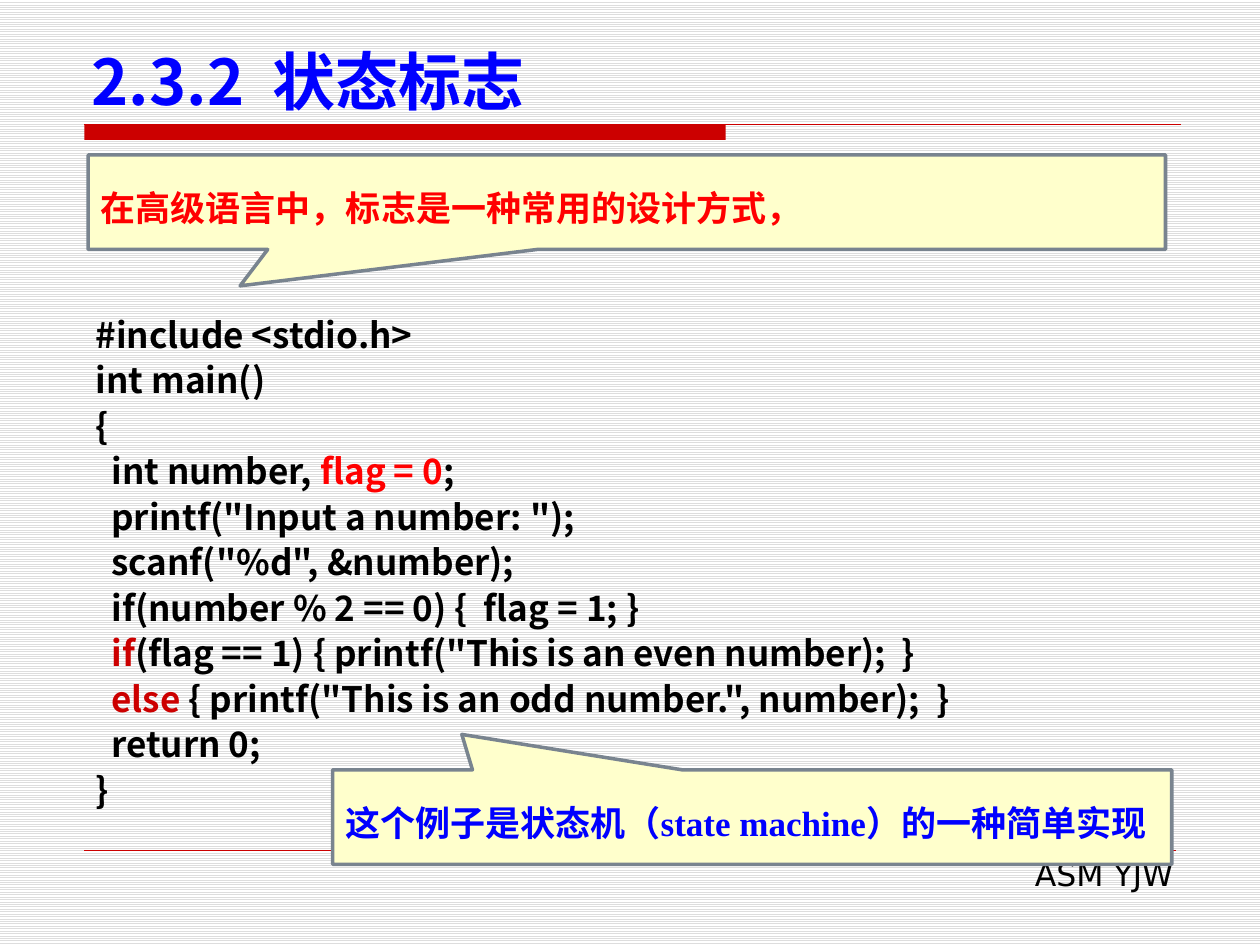
"""Build the slide on status flags with a C example and two callouts."""
from lxml import etree
from pptx import Presentation
from pptx.dml.color import RGBColor
from pptx.enum.dml import MSO_PATTERN
from pptx.enum.shapes import MSO_CONNECTOR, MSO_SHAPE
from pptx.enum.text import MSO_ANCHOR, PP_ALIGN
from pptx.oxml.ns import qn
from pptx.util import Inches, Pt

LEFT, RIGHT = PP_ALIGN.LEFT, PP_ALIGN.RIGHT
TOP, MIDDLE, BOTTOM = MSO_ANCHOR.TOP, MSO_ANCHOR.MIDDLE, MSO_ANCHOR.BOTTOM
SANS, CJK, SERIF = "DejaVu Sans", "Noto Sans CJK SC", "Times New Roman"
BLACK, RED, BLUE, ACCENT = "000000", "FF0000", "0000FF", "CC0000"
CALLOUT_FILL, CALLOUT_LINE = "FFFFCC", "79848F"
MARGIN, BAR_TOP = 0.67, 0.99

TITLE = [["2.3.2  状态标志"]]
FOOTER = [["ASM YJW"]]
CODE = [
    ["#include <stdio.h>"],
    ["int main()"],
    ["{"],
    ["  int number, ", ("flag = 0", RED, CJK), ";"],
    ['  printf("Input a number: ");'],
    ['  scanf("%d", &number);'],
    ["  if(number % 2 == 0) {  flag = 1; }"],
    ["  ", ("if", ACCENT, CJK), '(flag == 1) { printf("This is an even number);  }'],
    ["  ", ("else", ACCENT, CJK), ' { printf("This is an odd number.", number);  }'],
    ["  return 0;"],
    ["}"],
]
CALLOUTS = [
    ((0.7, 1.23, 8.55, 0.75), (-0.359, 0.885), RED,
     [["在高级语言中，标志是一种常用的设计方式，"]]),
    ((2.64, 6.11, 6.66, 0.75), (-0.346, -0.875), BLUE,
     [["这个例子是状态机（", ("state machine", BLUE, SERIF), "）的一种简单实现"]]),
]


def color(value):
    return RGBColor.from_string(value)


def write(shape, lines, size, name, ink, bold=True, spacing=None, align=LEFT, anchor=TOP):
    frame = shape.text_frame
    frame.word_wrap = True
    frame.vertical_anchor = anchor
    for index, line in enumerate(lines):
        paragraph = frame.paragraphs[0] if index == 0 else frame.add_paragraph()
        paragraph.alignment = align
        if spacing:
            paragraph.line_spacing = Pt(spacing)
        font = paragraph.font
        font.size, font.bold = Pt(size), bold
        mixed = len(line) > 1
        if not mixed:
            font.name, font.color.rgb = name, color(ink)
        for part in line:
            text, run_ink, run_name = (part, ink, name) if isinstance(part, str) else part
            run = paragraph.add_run()
            run.text = text
            if mixed:
                run.font.name, run.font.color.rgb = run_name, color(run_ink)


def add_text(slide, box, lines, *style, **options):
    shape = slide.shapes.add_textbox(*map(Inches, box))
    write(shape, lines, *style, **options)


def add_rule(slide, top, right, width):
    ends = map(Inches, (MARGIN, top, right, top))
    rule = slide.shapes.add_connector(MSO_CONNECTOR.STRAIGHT, *ends)
    rule.line.color.rgb = color(ACCENT)
    rule.line.width = Pt(width)
    etree.SubElement(rule._element.spPr, qn("a:effectLst"))


def add_block(slide, kind, box, fill, line, width):
    shape = slide.shapes.add_shape(kind, *map(Inches, box))
    shape.shadow.inherit = False
    shape.fill.solid()
    shape.fill.fore_color.rgb = color(fill)
    if line:
        shape.line.color.rgb = color(line)
        shape.line.width = Pt(width)
    else:
        shape.line.fill.background()
    return shape


def main():
    presentation = Presentation()
    presentation.slide_width, presentation.slide_height = Inches(10), Inches(7.5)
    slide = presentation.slides.add_slide(presentation.slide_layouts[6])
    background = slide.background.fill
    background.patterned()
    background.pattern = MSO_PATTERN.LIGHT_HORIZONTAL
    background.fore_color.rgb = color("DDDDDD")
    background.back_color.rgb = color("FFFFFF")

    add_block(slide, MSO_SHAPE.RECTANGLE, (MARGIN, BAR_TOP, 5.09, 0.12), ACCENT, None, 0)
    add_rule(slide, BAR_TOP, 9.37, 0.75)
    add_rule(slide, 6.75, 9.33, 0.25)
    add_text(slide, (3.82, 6.74, 5.59, 0.4), FOOTER, 18, SANS, BLACK, bold=False, align=RIGHT)
    add_text(slide, (0.63, 0.33, 8.75, 0.66), TITLE, 36, CJK, BLUE, anchor=BOTTOM)
    add_text(slide, (0.66, 2.41, 9.06, 4.07), CODE, 20, CJK, BLACK, spacing=26)
    for box, tip, ink, lines in CALLOUTS:
        callout = add_block(slide, MSO_SHAPE.RECTANGULAR_CALLOUT, box,
                            CALLOUT_FILL, CALLOUT_LINE, 2)
        callout.adjustments[0], callout.adjustments[1] = tip
        write(callout, lines, 20, SANS, ink, spacing=30, anchor=MIDDLE)
    presentation.save("out.pptx")


if __name__ == "__main__":
    main()
